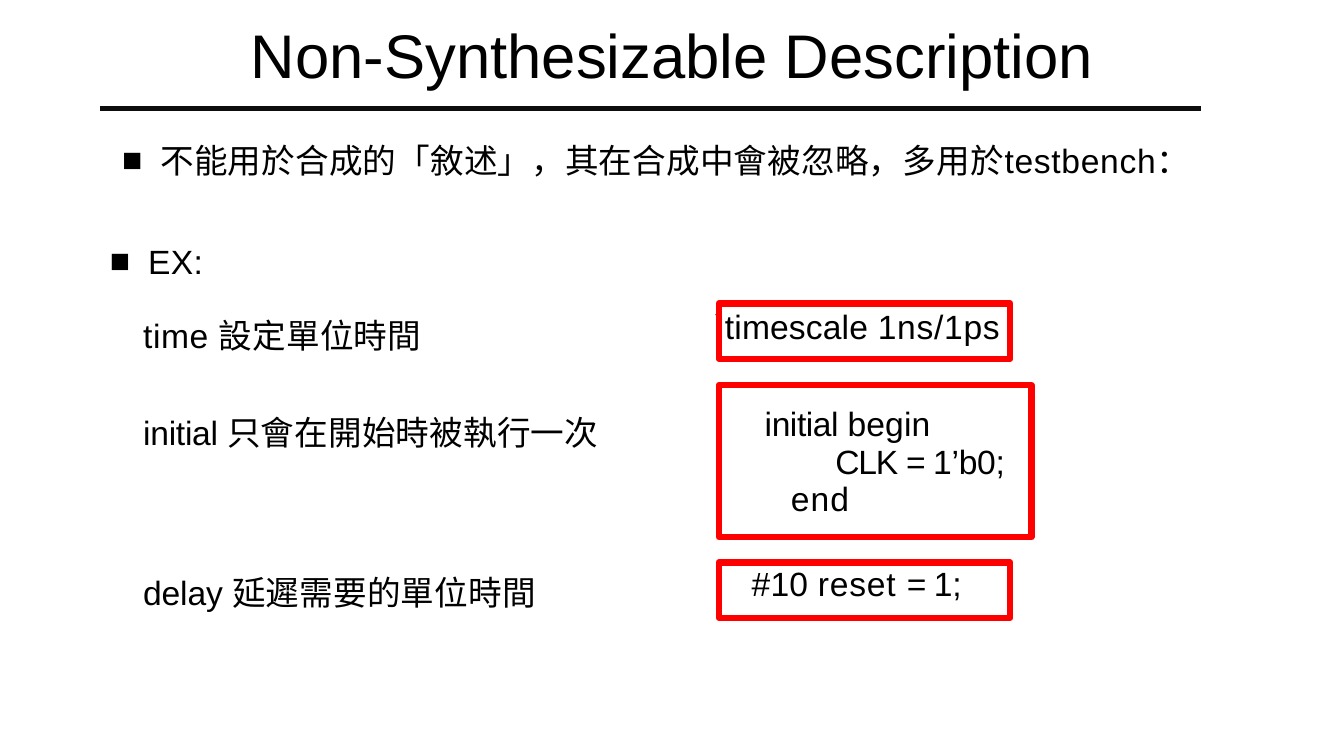
"""Build the slide on non-synthesizable descriptions."""
from dataclasses import dataclass

import pptx
import pptx.chart.data
import pptx.dml.color
import pptx.enum.shapes
import pptx.enum.text
import pptx.oxml
import pptx.oxml.ns
import pptx.util
from pptx.util import Inches

COLORS = {"text": "000000", "rule": "0D0D0D", "frame": "FF0000"}
FONT = "Arial"
ALIGN = pptx.enum.text.PP_ALIGN
ANCHOR = pptx.enum.text.MSO_ANCHOR


@dataclass
class Run:
    text: str
    spacing: float = 0


@dataclass
class Para:
    runs: list[Run]
    align: ALIGN = ALIGN.LEFT
    margin: float = 0
    hanging: float = 0
    bullet: str = ""
    line_spacing: float = 1.0
    size: float = 24


@dataclass
class Box:
    left: float
    top: float
    width: float
    height: float

    def inches(self) -> tuple:
        return tuple(Inches(v) for v in (self.left, self.top, self.width, self.height))


@dataclass
class Row:
    height: float
    meaning: list[Para]
    code: list[Para]


TITLE = Para([Run("Non-Synthesizable Description")], ALIGN.CENTER,
             line_spacing=0.9, size=44)
INTRO = Para([Run("不能用於合成的「敘述」，其在合成中會被忽略，多用於", 0.1),
              Run("testbench：", 0.5)],
             margin=0.57, hanging=0.38, bullet="■", line_spacing=0.9)
EXAMPLE = Para([Run("EX:", 0.2)], margin=0.38, hanging=0.38, bullet="■")
ROWS = [
    Row(0.96,
        [Para([Run("time ", 0.4), Run("設定單位時間", 0.1)])],
        [Para([Run("`timescale ", 0.1), Run("1ns/1ps", 0.5)], ALIGN.CENTER)]),
    Row(1.59,
        [Para([Run("initial ", -0.2), Run("只會在開始時被執行一次", 0.1)])],
        [Para([Run("initial ", -0.3), Run("begin", 0.1)], margin=1.38),
         Para([Run("CLK ", -0.9), Run("= ", -1.4), Run("1’b0;", -0.2)], margin=2.08),
         Para([Run("end", 0.7)], margin=1.64)]),
    Row(0.96,
        [Para([Run("delay ", -0.1), Run("延遲需要的單位時間", 0.1)])],
        [Para([Run("#10 ", 0.1), Run("reset ", 0.6), Run("= ", -1.4), Run("1;", -0.1)],
              ALIGN.CENTER)]),
]
FRAMES = [Box(7.13, 3.01, 2.89, 0.55), Box(7.13, 3.82, 3.1, 1.51),
          Box(7.13, 5.58, 2.89, 0.55)]


def rgb(name: str) -> pptx.dml.color.RGBColor:
    """Return the named colour."""
    return pptx.dml.color.RGBColor.from_string(COLORS[name])


def write(tf, paras: list[Para]) -> None:
    """Fill a text frame with formatted paragraphs."""
    for i, para in enumerate(paras):
        p = tf.add_paragraph() if i else tf.paragraphs[0]
        p.alignment = para.align
        p.line_spacing = para.line_spacing
        p.space_before = pptx.util.Pt(0)
        pPr = p._p.get_or_add_pPr()
        pPr.set("marL", str(Inches(para.margin)))
        pPr.set("indent", str(-Inches(para.hanging)))
        if para.bullet:
            bu = pptx.oxml.parse_xml(
                f'<a:buChar {pptx.oxml.ns.nsdecls("a")} char="{para.bullet}"/>')
            pPr.append(bu)
        for run in para.runs:
            r = p.add_run()
            r.text = run.text
            r.font.size = pptx.util.Pt(para.size)
            r.font.name = FONT
            r.font.color.rgb = rgb("text")
            r._r.get_or_add_rPr().set("spc", str(round(run.spacing * 100)))


def fill_placeholder(sp, box: Box, para: Para, anchor: ANCHOR, wrap: bool = True) -> None:
    """Move a placeholder and write one paragraph in it."""
    sp.left, sp.top, sp.width, sp.height = box.inches()
    tf = sp.text_frame
    tf.auto_size = pptx.enum.text.MSO_AUTO_SIZE.NONE
    tf.word_wrap = wrap
    tf.vertical_anchor = anchor
    write(tf, [para])


def add_rule(s, left: float, right: float, y: float) -> None:
    """Draw the line under the title."""
    cx = s.shapes.add_connector(pptx.enum.shapes.MSO_CONNECTOR.STRAIGHT,
                                Inches(left), Inches(y), Inches(right), Inches(y))
    cx.line.color.rgb = rgb("rule")
    cx.line.width = pptx.util.Pt(3.75)
    cx._element.spPr.append(
        pptx.oxml.parse_xml(f'<a:effectLst {pptx.oxml.ns.nsdecls("a")}/>'))


def add_examples(s, box: Box, rows: list[Row]) -> None:
    """Draw the table of keywords and code."""
    table = s.shapes.add_table(len(rows), 2, *box.inches()).table
    table.first_row = table.horz_banding = False
    for i, row in enumerate(rows):
        table.rows[i].height = Inches(row.height)
        for j, paras in enumerate((row.meaning, row.code)):
            cell = table.cell(i, j)
            cell.fill.background()
            write(cell.text_frame, paras)


def add_frame(s, box: Box) -> None:
    """Draw a red frame around a piece of code."""
    sp = s.shapes.add_shape(pptx.enum.shapes.MSO_SHAPE.RECTANGLE, *box.inches())
    sp.shadow.inherit = False
    sp.fill.background()
    sp.line.color.rgb = rgb("frame")
    sp.line.width = pptx.util.Pt(4.5)


def main() -> None:
    """Build and save the presentation."""
    prs = pptx.Presentation()
    prs.slide_width, prs.slide_height = Inches(13.33), Inches(7.5)
    s = prs.slides.add_slide(prs.slide_layouts.get_by_name("Two Content"))
    title, intro, example = list(s.placeholders)[:3]
    fill_placeholder(title, Box(0.92, 0.16, 11.5, 0.8), TITLE, ANCHOR.BOTTOM)
    fill_placeholder(intro, Box(0.92, 1.38, 11.3, 0.55), INTRO, ANCHOR.TOP)
    fill_placeholder(example, Box(0.99, 2.34, 1.13, 0.5), EXAMPLE, ANCHOR.TOP, False)
    add_rule(s, 0.99, 11.91, 1.08)
    add_examples(s, Box(1.32, 3.02, 9.57, 3.51), ROWS)
    for frame in FRAMES:
        add_frame(s, frame)
    prs.save("out.pptx")


if __name__ == "__main__":
    main()
